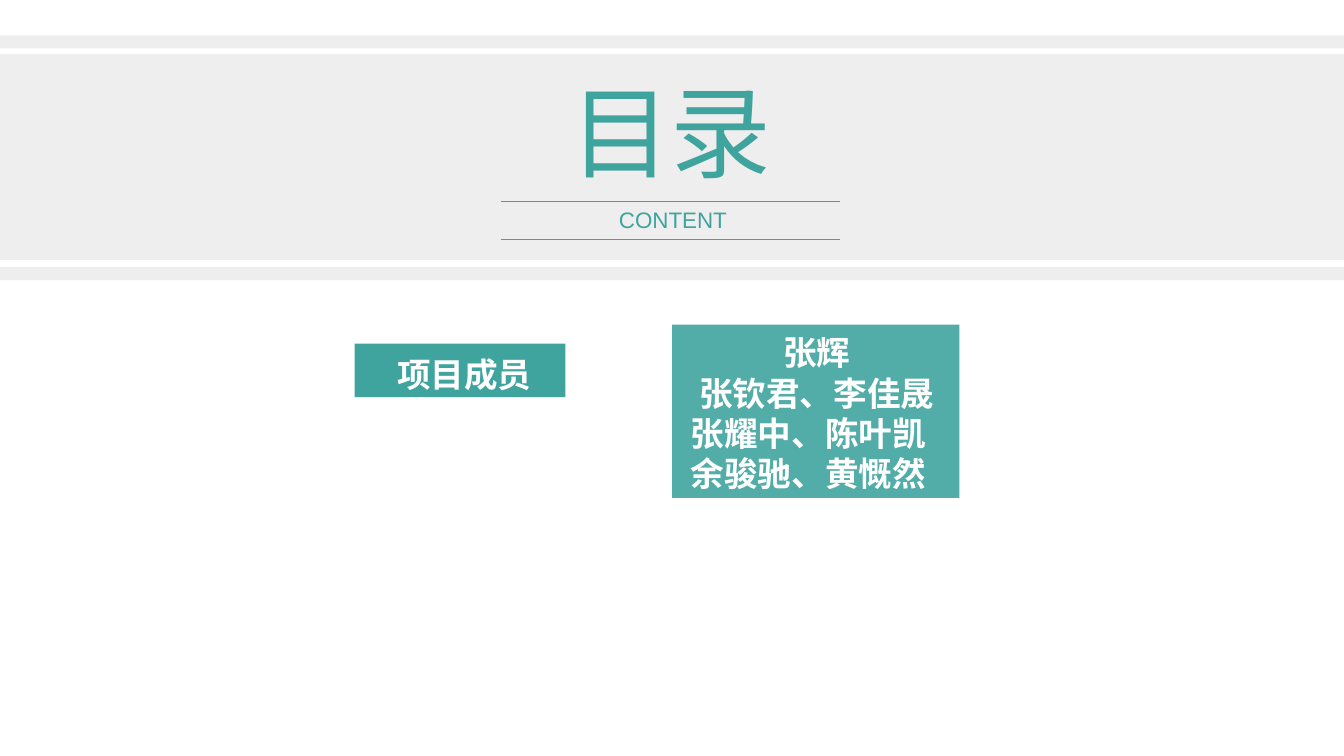
import dataclasses

import pptx
import pptx.dml.color
import pptx.enum.shapes
import pptx.enum.text
import pptx.oxml
import pptx.oxml.ns
import pptx.util
from pptx.util import Cm

CENTER = pptx.enum.text.PP_ALIGN.CENTER
LEFT = pptx.enum.text.PP_ALIGN.LEFT


@dataclasses.dataclass(frozen=True)
class Theme:
    teal: str = "3FA39E"
    band: str = "EEEEEE"
    white: str = "FFFFFF"
    cjk: str = "Noto Sans CJK SC"
    latin: str = "Arial"
    title: int = 72
    subtitle: int = 16
    label: int = 24
    rule: float = 0.5


THEME = Theme()


def rgb(color):
    return pptx.dml.color.RGBColor.from_string(color)


def add_block(slide, left, top, width, height, color, opacity=100):
    block = slide.shapes.add_shape(
        pptx.enum.shapes.MSO_SHAPE.RECTANGLE, Cm(left), Cm(top), Cm(width), Cm(height))
    block.shadow.inherit = False
    block.fill.solid()
    block.fill.fore_color.rgb = rgb(color)
    block.line.fill.background()
    if opacity < 100:
        srgb = block.fill._xPr.find(".//" + pptx.oxml.ns.qn("a:srgbClr"))
        alpha = srgb.makeelement(pptx.oxml.ns.qn("a:alpha"), {"val": str(opacity * 1000)})
        srgb.append(alpha)


def add_rule(slide, left, right, y):
    rule = slide.shapes.add_connector(
        pptx.enum.shapes.MSO_CONNECTOR.STRAIGHT, Cm(left), Cm(y), Cm(right), Cm(y))
    rule.line.color.rgb = rgb(THEME.teal)
    rule.line.width = pptx.util.Pt(THEME.rule)
    properties = rule._element.spPr
    properties.append(properties.makeelement(pptx.oxml.ns.qn("a:effectLst"), {}))


def add_text(slide, left, top, width, height, lines, size, color, font, bold=False):
    """Each line is (text, alignment, left indent in cm)."""
    box = slide.shapes.add_textbox(Cm(left), Cm(top), Cm(width), Cm(height))
    frame = box.text_frame
    frame.word_wrap = True
    frame.text = "\n".join(text for text, _, _ in lines)
    if font == THEME.cjk:
        # Offset the tight line pitch at the top of the box
        frame.margin_top = Cm(0.13) + pptx.util.Pt(size * 0.07)
    for paragraph, (_, alignment, indent) in zip(frame.paragraphs, lines):
        paragraph.alignment = alignment
        if font == THEME.cjk:
            paragraph.line_spacing = pptx.util.Pt(size * 1.2)
        if indent:
            paragraph._p.get_or_add_pPr().set("marL", str(Cm(indent)))
        for run in paragraph.runs:
            run.font.size = pptx.util.Pt(size)
            run.font.bold = bold
            run.font.color.rgb = rgb(color)
            run.font.name = font
            properties = run._r.get_or_add_rPr()
            east_asian = properties.makeelement(pptx.oxml.ns.qn("a:ea"), {"typeface": font})
            properties.find(pptx.oxml.ns.qn("a:latin")).addnext(east_asian)


def main():
    presentation = pptx.Presentation()
    presentation.slide_width = Cm(33.87)
    presentation.slide_height = Cm(19.05)
    slide = presentation.slides.add_slide(presentation.slide_layouts[6])

    # Members panel, softened by a translucent veil
    add_block(slide, 16.94, 8.18, 7.24, 4.37, THEME.teal)
    add_block(slide, 0, 0, 33.87, 19.05, THEME.white, opacity=10)

    # Header bands
    for top, height in ((6.73, 0.33), (0.89, 0.33), (1.36, 5.19)):
        add_block(slide, 0, top, 33.87, height, THEME.band)

    # Title and ruled subtitle
    add_text(slide, 7.87, 1.45, 18.08, 3.33, [("目录", CENTER, 0)],
             THEME.title, THEME.teal, THEME.cjk)
    add_text(slide, 14, 5.08, 5.92, 0.97, [("CONTENT", CENTER, 0)],
             THEME.subtitle, THEME.teal, THEME.latin)
    for y in (5.08, 6.02):
        add_rule(slide, 12.62, 21.16, y)

    # Project members
    members = [("张辉", CENTER, 0), ("张钦君、李佳晟", CENTER, 0),
               ("张耀中、陈叶凯", LEFT, 0.57), ("余骏驰、黄慨然", LEFT, 0.57)]
    add_text(slide, 16.59, 8.18, 7.98, 4.37, members,
             THEME.label, THEME.white, THEME.cjk, bold=True)
    add_block(slide, 8.94, 8.66, 5.31, 1.35, THEME.teal)
    add_text(slide, 9.4, 8.74, 4.6, 1.27, [("项目成员", CENTER, 0)],
             THEME.label, THEME.white, THEME.cjk, bold=True)

    presentation.save("out.pptx")


if __name__ == "__main__":
    main()
